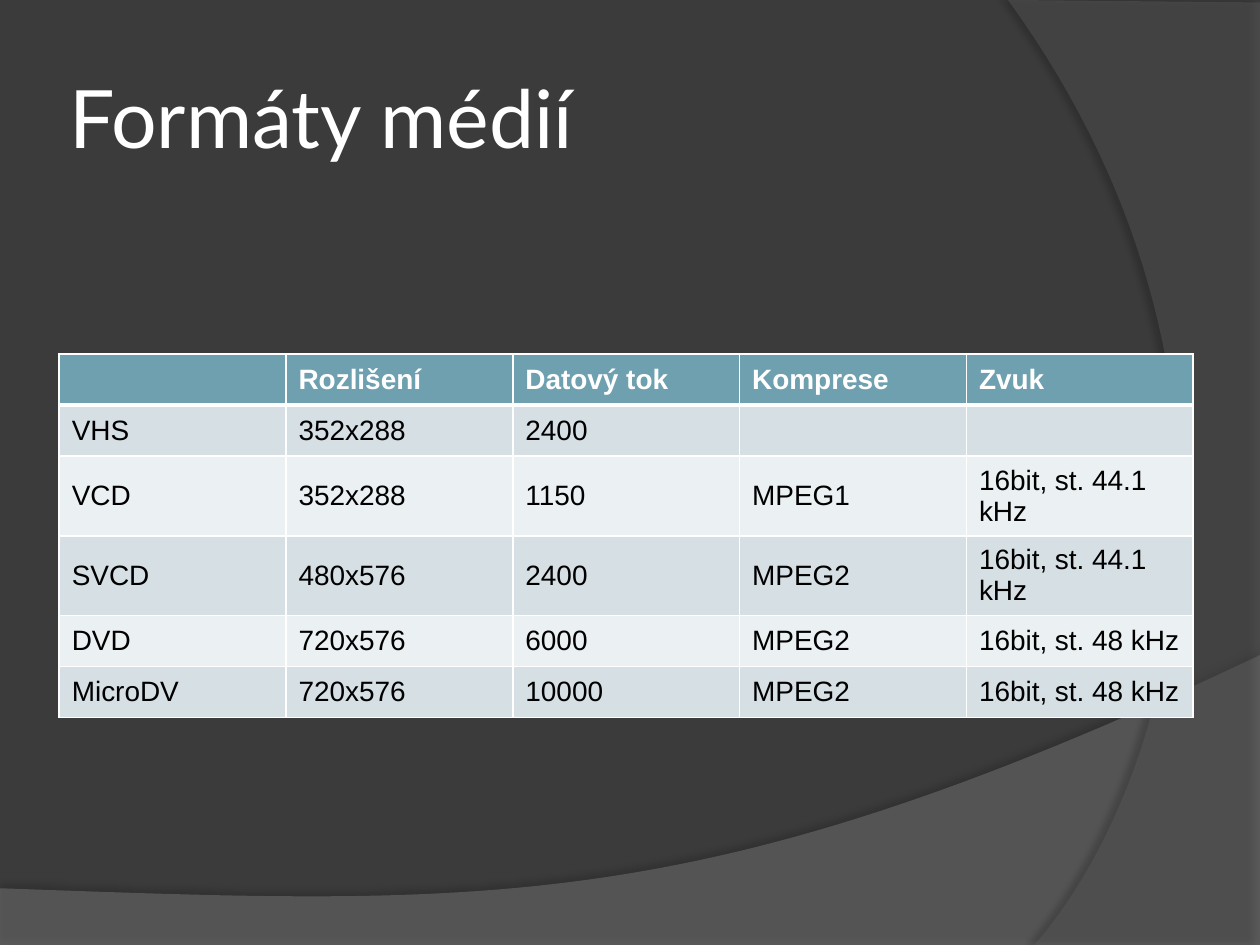
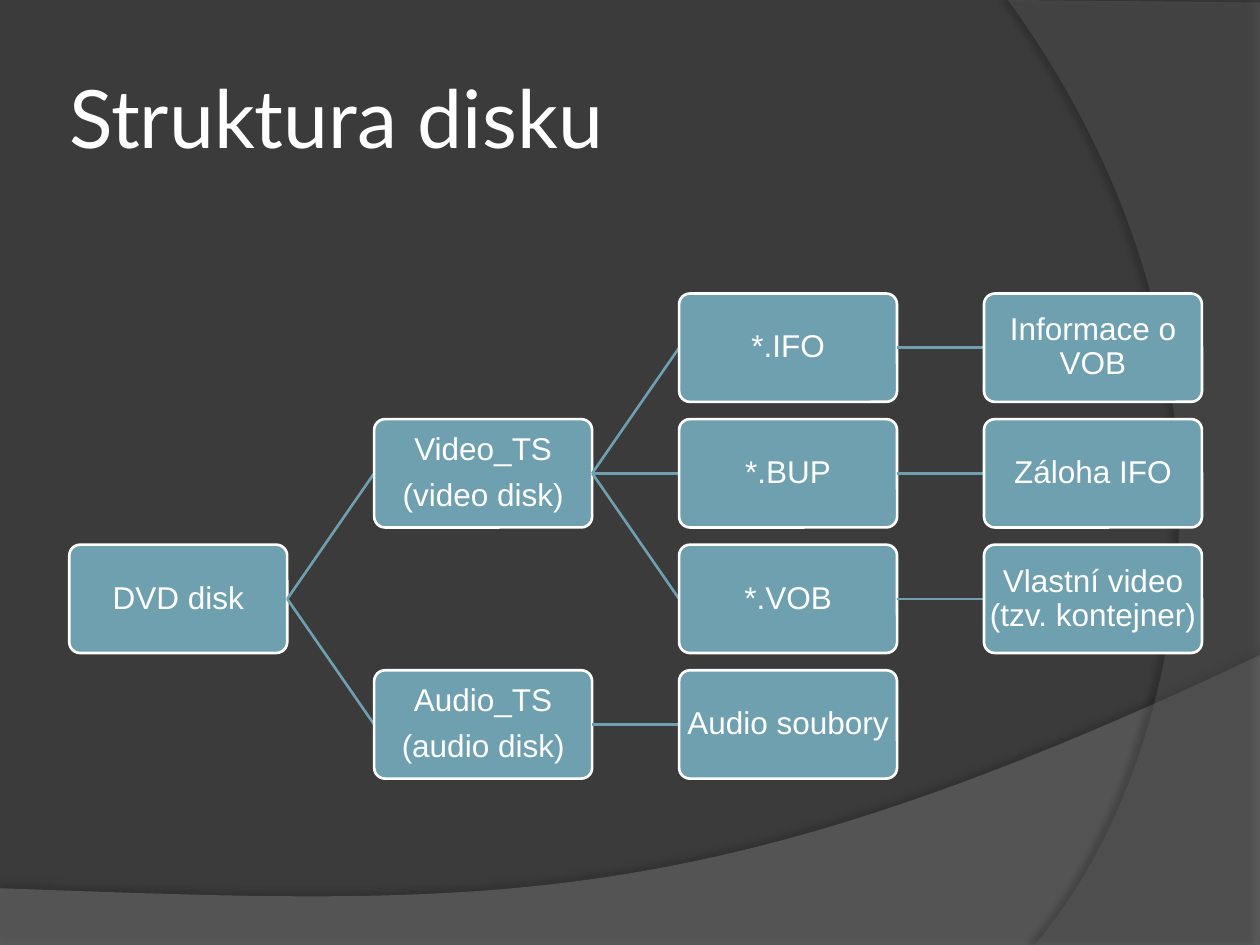
from lxml.etree import SubElement
from pptx import Presentation
from pptx.dml.color import RGBColor
from pptx.enum.shapes import MSO_CONNECTOR, MSO_SHAPE
from pptx.enum.text import MSO_ANCHOR, PP_ALIGN
from pptx.oxml import parse_xml
from pptx.oxml.ns import nsdecls, qn
from pptx.util import Inches, Pt

STRAIGHT = MSO_CONNECTOR.STRAIGHT
ROUNDED = MSO_SHAPE.ROUNDED_RECTANGLE
MIDDLE = MSO_ANCHOR.MIDDLE
CENTER = PP_ALIGN.CENTER

BACKGROUND = RGBColor(0x3B, 0x3B, 0x3B)
BOTTOM_WAVE = RGBColor(0x7F, 0x7F, 0x7F)
RIGHT_ARC = RGBColor(0x5E, 0x5E, 0x5E)
TEAL = RGBColor(0x6E, 0xA0, 0xB0)
BAND_DARK = RGBColor(0xD5, 0xDF, 0xE4)
BAND_LIGHT = RGBColor(0xEB, 0xF0, 0xF2)
WHITE = RGBColor(0xFF, 0xFF, 0xFF)
BLACK = RGBColor(0x00, 0x00, 0x00)
TITLE_FONT = "Lato"
BODY_FONT = "Arial"


def add_effect(shape, effect, color, alpha, **settings):
    properties = shape._element.spPr
    effects = properties.find(qn("a:effectLst"))
    if effects is None:
        effects = SubElement(properties, qn("a:effectLst"))
    node = SubElement(effects, qn(effect), {key: str(value) for key, value in settings.items()})
    color_node = SubElement(node, qn("a:srgbClr"), val=str(color))
    SubElement(color_node, qn("a:alpha"), val=str(alpha * 1000))


def curve_points(start, control_1, control_2, end, steps=60):
    points = []
    for step in range(steps + 1):
        t = step / steps
        weights = ((1 - t) ** 3, 3 * t * (1 - t) ** 2, 3 * t ** 2 * (1 - t), t ** 3)
        corners = (start, control_1, control_2, end)
        points.append(tuple(sum(w * c[axis] for w, c in zip(weights, corners)) for axis in (0, 1)))
    return points


presentation = Presentation()
presentation.slide_width = Inches(10)
presentation.slide_height = Inches(7.5)
master_fill = presentation.slide_master.background.fill
master_fill.solid()
master_fill.fore_color.rgb = BACKGROUND

wave = [(0, 7.5), (10, 7.5)] + curve_points((10, 5.2), (5.59, 7.29), (3.91, 7.19), (0, 7.05))
arc = [(10, 0.02), (10, 7.5)] + curve_points((8.21, 7.5), (9.35, 6.19), (10.18, 3), (8, 0))
bands = [
    (wave, BOTTOM_WAVE, 45, 35, 3.5, 270),
    (arc, RIGHT_ARC, 40, 45, 4, 180),
]

slides = []
for title in ("Formáty médií", "Struktura disku"):
    slide = presentation.slides.add_slide(presentation.slide_layouts[6])
    slides.append(slide)
    for outline, color, opacity, shadow_opacity, distance, direction in bands:
        points = [(Inches(x), Inches(y)) for x, y in outline]
        builder = slide.shapes.build_freeform(*points[0])
        builder.add_line_segments(points[1:], close=True)
        band = builder.convert_to_shape()
        band.fill.solid()
        band.fill.fore_color.rgb = color
        fill_color = band._element.spPr.find(qn("a:solidFill"))[0]
        SubElement(fill_color, qn("a:alpha"), val=str(opacity * 1000))
        band.line.fill.background()
        band.shadow.inherit = False
        add_effect(band, "a:outerShdw", BLACK, shadow_opacity,
                   blurRad=Pt(4), dist=Pt(distance), dir=direction * 60000)

    title_box = slide.shapes.add_textbox(Inches(0.5), Inches(0.3), Inches(8.17), Inches(1.25))
    text_frame = title_box.text_frame
    text_frame.word_wrap = True
    text_frame.vertical_anchor = MIDDLE
    text_frame.margin_left = text_frame.margin_right = Inches(0.05)
    text_frame.text = title
    font = text_frame.paragraphs[0].runs[0].font
    font.name = TITLE_FONT
    font.size = Pt(46)
    font.color.rgb = WHITE

formats_slide, structure_slide = slides

formats = [
    ("", "Rozlišení", "Datový tok", "Komprese", "Zvuk"),
    ("VHS", "352x288", "2400", "", ""),
    ("VCD", "352x288", "1150", "MPEG1", "16bit, st. 44.1 kHz"),
    ("SVCD", "480x576", "2400", "MPEG2", "16bit, st. 44.1 kHz"),
    ("DVD", "720x576", "6000", "MPEG2", "16bit, st. 48 kHz"),
    ("MicroDV", "720x576", "10000", "MPEG2", "16bit, st. 48 kHz"),
]
table = formats_slide.shapes.add_table(
    len(formats), len(formats[0]), Inches(0.47), Inches(2.81), Inches(9), Inches(2.43)).table
for row_index, values in enumerate(formats):
    header = row_index == 0
    for column_index, value in enumerate(values):
        cell = table.cell(row_index, column_index)
        cell.vertical_anchor = MIDDLE
        cell.fill.solid()
        cell.fill.fore_color.rgb = TEAL if header else (BAND_LIGHT, BAND_DARK)[row_index % 2]
        cell.text = value
        font = cell.text_frame.paragraphs[0].font
        font.size = Pt(16)
        for run in cell.text_frame.paragraphs[0].runs:
            run.font.name = BODY_FONT
            run.font.size = Pt(16)
            run.font.bold = header
            run.font.color.rgb = WHITE if header else BLACK
        widths = {"L": 1, "R": 1, "T": 3 if row_index == 1 else 1, "B": 3 if header else 1}
        for position, (side, width) in enumerate(widths.items()):
            border = parse_xml(
                f'<a:ln{side} {nsdecls("a")} w="{Pt(width)}"><a:solidFill>'
                f'<a:srgbClr val="{WHITE}"/></a:solidFill></a:ln{side}>')
            cell._tc.get_or_add_tcPr().insert(position, border)

BOX_WIDTH, BOX_HEIGHT = 1.73, 0.86
COLUMN_STEP = 2.42
ROW_STEP = (5.32 - 2.33) / 3
nodes = [
    ("disk", None, 0, 2, "DVD disk"),
    ("video", "disk", 1, 1, "Video_TS\n(video disk)"),
    ("ifo", "video", 2, 0, "*.IFO"),
    ("ifo info", "ifo", 3, 0, "Informace o VOB"),
    ("bup", "video", 2, 1, "*.BUP"),
    ("bup info", "bup", 3, 1, "Záloha IFO"),
    ("vob", "video", 2, 2, "*.VOB"),
    ("vob info", "vob", 3, 2, "Vlastní video (tzv. kontejner)"),
    ("audio", "disk", 1, 3, "Audio_TS\n(audio disk)"),
    ("audio files", "audio", 2, 3, "Audio soubory"),
]
boxes = {}
for name, parent, column, row, label in nodes:
    left = Inches(0.55 + column * COLUMN_STEP)
    top = Inches(2.33 + row * ROW_STEP)
    if parent:
        connector = structure_slide.shapes.add_connector(STRAIGHT, left, top, left, top)
        connector.line.color.rgb = TEAL
        connector.line.width = Pt(1.5)
        add_effect(connector, "a:glow", WHITE, 40, rad=Pt(5))
        connector.begin_connect(boxes[parent], 3)
    box = structure_slide.shapes.add_shape(ROUNDED, left, top, Inches(BOX_WIDTH), Inches(BOX_HEIGHT))
    boxes[name] = box
    if parent:
        connector.end_connect(box, 1)
    box.adjustments[0] = 0.1
    box.shadow.inherit = False
    box.fill.solid()
    box.fill.fore_color.rgb = TEAL
    box.line.color.rgb = WHITE
    box.line.width = Pt(1.5)
    text_frame = box.text_frame
    text_frame.word_wrap = True
    text_frame.vertical_anchor = MIDDLE
    text_frame.margin_left = text_frame.margin_right = Inches(0.01)
    text_frame.margin_top = text_frame.margin_bottom = Inches(0.01)
    text_frame.text = label
    for paragraph in text_frame.paragraphs:
        paragraph.alignment = CENTER
        paragraph.line_spacing = 0.9
        font = paragraph.runs[0].font
        font.name = BODY_FONT
        font.size = Pt(18)
        font.color.rgb = WHITE
    for paragraph in text_frame.paragraphs[:-1]:
        paragraph.space_after = Pt(7)

presentation.save("out.pptx")
